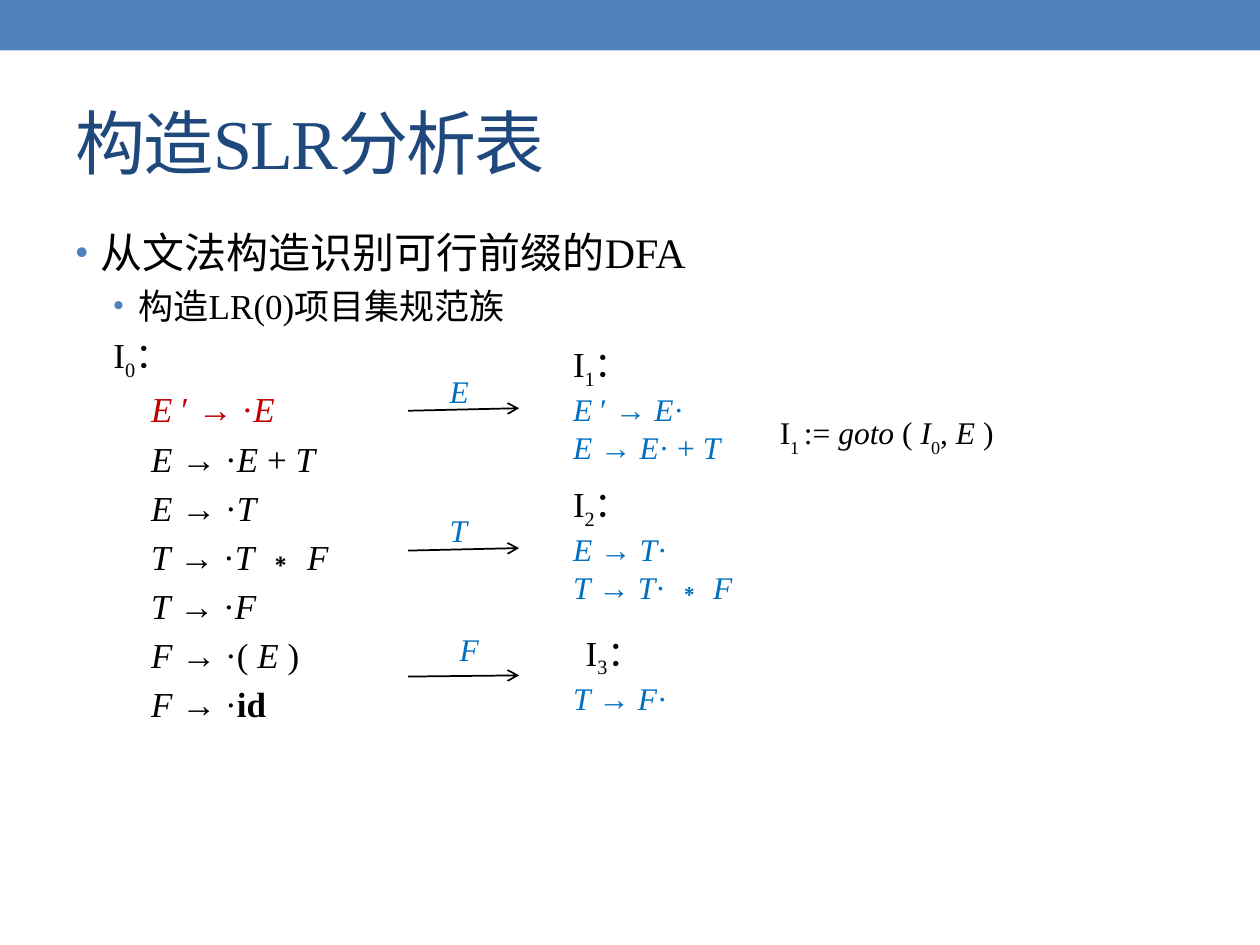
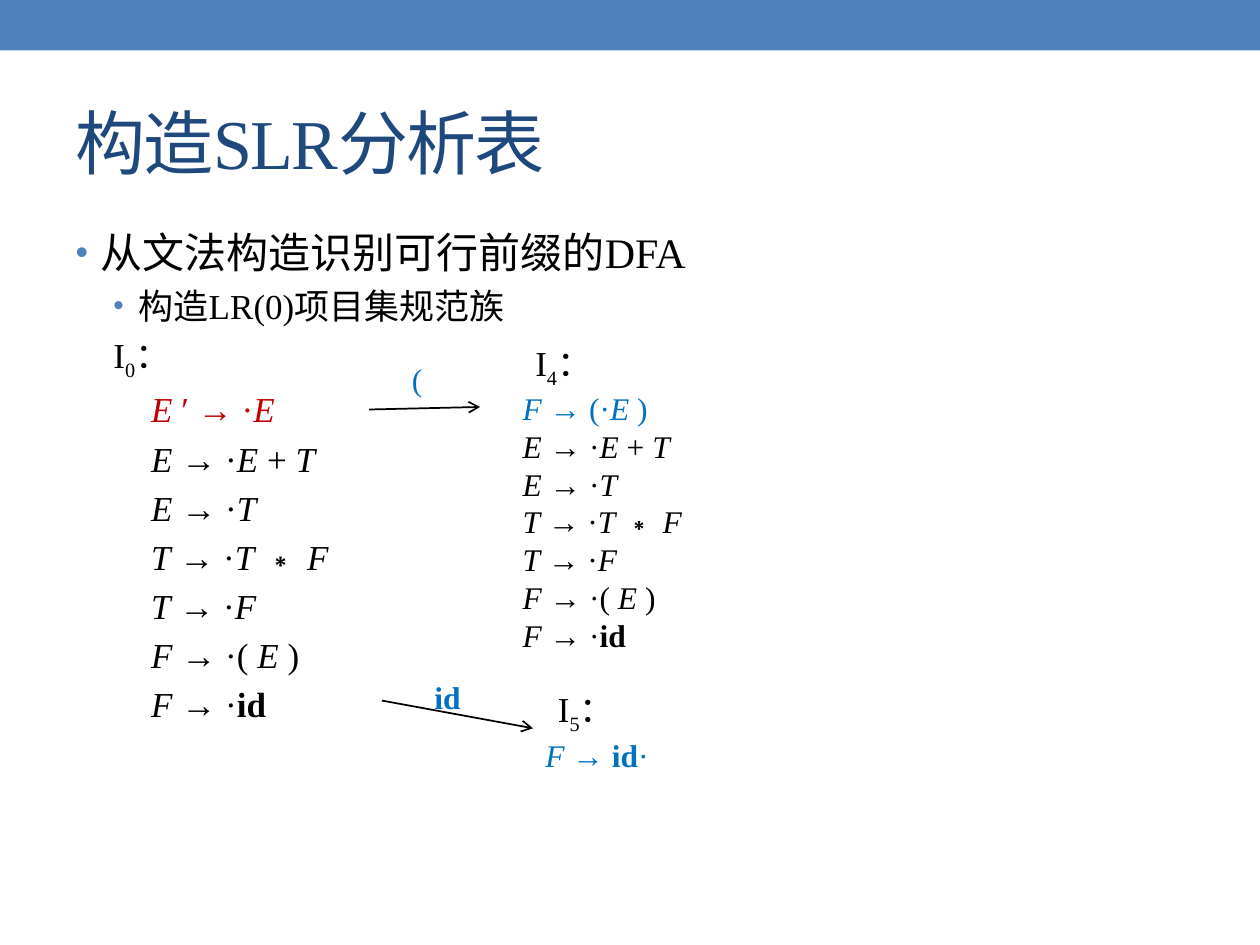
from lxml.etree import SubElement
from pptx import Presentation
from pptx.dml.color import RGBColor
from pptx.enum.shapes import MSO_CONNECTOR as Link, MSO_SHAPE as Shape
from pptx.enum.text import MSO_ANCHOR as Anchor, MSO_AUTO_SIZE as Fit, PP_ALIGN as Align
from pptx.oxml.ns import qn
from pptx.util import Emu, Pt

SCALE = 9144  # EMU in one px, 100 px to the inch
FONT = "Times New Roman"
BLACK, BAND, NAVY, RED, BLUE = "000000", "4F81BD", "1F497D", "C00000", "0070C0"
MARKS = {"_": "italic", "#": "bold", "~": "sub"}

# Grammar items after the start item; _italic_, #bold#, ~subscript~
ITEMS = ["_E_ → ·_E_ + _T_", "_E_ → ·_T_", "_T_ → ·_T_ ∗ _F_",
         "_T_ → ·_F_", "_F_ → ·( _E_ )", "_F_ → ·#id#"]


def px(*nums):
    return [Emu(round(n * SCALE)) for n in nums]


def color(code):
    return RGBColor.from_string(code)


def add(parent, tag, **attrs):
    return SubElement(parent, qn(tag), attrs)


def write(para, text, size=18, ink=BLACK, sub=25, space=0, indent=None, hang=0):
    """Fill a paragraph with marked-up text."""
    props = para._p.get_or_add_pPr()
    if indent is not None:
        left, first = px(indent, -hang)
        props.set("marL", str(left))
        props.set("indent", str(first))
    state = dict.fromkeys(MARKS.values(), False)
    chunk = ""
    for char in text + "\0":
        if char not in MARKS and char != "\0":
            chunk += char
            continue
        if chunk:
            run = para.add_run()
            run.text = chunk
            font = run.font
            font.name, font.size = FONT, Pt(size)
            font.bold, font.italic = state["bold"], state["italic"]
            font.color.rgb = color(ink)
            look = run._r.get_or_add_rPr()
            if state["sub"]:
                look.set("baseline", str(-1000 * sub))
            if space:
                look.set("spc", str(space))
            chunk = ""
        if char in MARKS:
            state[MARKS[char]] = not state[MARKS[char]]


def bullet(para, on):
    props = para._p.get_or_add_pPr()
    if not on:
        add(props, "a:buNone")
        return
    add(add(props, "a:buClr"), "a:srgbClr", val=BAND)
    add(props, "a:buSzPct", val="85000")
    add(props, "a:buFont", typeface="Arial")
    add(props, "a:buChar", char="•")


def lines(frame):
    """Yield the first paragraph, then new ones."""
    yield frame.paragraphs[0]
    while True:
        yield frame.add_paragraph()


def place(shape, box):
    shape.left, shape.top, shape.width, shape.height = px(*box)


def label(shapes, box, rows):
    """Text box from (text, format) rows."""
    frame = shapes.add_textbox(*px(*box)).text_frame
    frame.word_wrap = True
    frame.auto_size = Fit.SHAPE_TO_FIT_TEXT
    for (text, form), para in zip(rows, lines(frame)):
        write(para, text, **form)


def arrow(shapes, x1, y1, x2, y2):
    link = shapes.add_connector(Link.STRAIGHT, *px(x1, y1, x2, y2))
    link.line.color.rgb = color(BLACK)
    link.line.width = Pt(1)
    props = link._element.spPr
    add(props.find(qn("a:ln")), "a:tailEnd", type="arrow")
    add(props, "a:effectLst")


def band(slide):
    """Put the top band on the layout that the slides share."""
    bar = slide.shapes.add_shape(Shape.RECTANGLE, *px(0, 0, 1000, 40))
    bar.shadow.inherit = False
    bar.fill.solid()
    bar.fill.fore_color.rgb = color(BAND)
    bar.line.fill.background()
    slide.slide_layout.shapes._spTree.insert(2, bar._element)


def title(shape, box):
    place(shape, box)
    frame = shape.text_frame
    frame.vertical_anchor = Anchor.MIDDLE
    para = frame.paragraphs[0]
    para.alignment = Align.LEFT
    write(para, "构造SLR分析表", size=40, ink=NAVY, space=-100)


def body(shape, box):
    """Outline with the item set I0."""
    place(shape, box)
    frame = shape.text_frame
    frame.auto_size = Fit.NONE
    rows = [("从文法构造识别可行前缀的DFA", 0, dict(size=24, indent=20, hang=20)),
            ("构造LR(0)项目集规范族", 1, dict(size=20, indent=50, hang=20)),
            ("I~0~：", 1, dict(size=20, indent=30)),
            ("_E_ ′ → ·_E_", 2, dict(size=20, indent=60, ink=RED))]
    rows += [(item, 2, dict(size=20, indent=60)) for item in ITEMS]
    for (text, level, form), para in zip(rows, lines(frame)):
        para.level = level
        bullet(para, "hang" in form)
        write(para, text, **form)
    frame.paragraphs[0].space_before = Pt(0)


def state(slide, x, y, name, sign, new, old=(), left=121, head=0,
          line=(0, 59, 88, 57), tag=(23, 23)):
    """Arrow with its sign, leading to an item set; (x, y) is the corner."""
    shapes = slide.shapes.add_group_shape().shapes
    x1, y1, x2, y2 = line
    arrow(shapes, x + x1, y + y1, x + x2, y + y2)
    label(shapes, (x + tag[0], y + tag[1], 46, 40), [(sign, dict(ink=BLUE))])
    rows = [(f"I~{name}~：", dict(size=20, indent=head))]
    rows += [(item, dict(ink=BLUE)) for item in new]
    rows += [(item, {}) for item in old]
    label(shapes, (x + left, y, 284, 13 + 30 * len(rows)), rows)


def page(deck):
    slide = deck.slides.add_slide(deck.slide_layouts[1])
    title(slide.shapes.title, (50, 58, 900, 108))
    body(slide.placeholders[1], (50, 175, 900, 533))
    return slide


def main():
    deck = Presentation()
    deck.slide_width, deck.slide_height = px(1000, 750)

    # Moves on E, T and F
    slide = page(deck)
    band(slide)
    state(slide, 324, 267, 1, "_E_", ["_E_ ′ → _E_·", "_E_ → _E_· + _T_"])
    label(slide.shapes, (609, 323, 292, 40),
          [("I~1 ~:= _goto_ ( _I_~0~, _E_ )", dict(sub=30))])
    state(slide, 324, 378, 2, "_T_", ["_E_ → _T_·", "_T_ → _T_· ∗ _F_"])
    state(slide, 324, 496, 3, "_F_", ["_T_ → _F_·"], head=10,
          line=(0, 41, 88, 40), tag=(31, -1))

    # Moves on ( and id
    slide = page(deck)
    state(slide, 293, 266, 4, "(", ["_F_ → (·_E_ )"], ITEMS, left=112, head=10,
          tag=(24, 15))
    state(slide, 303, 541, 5, "#id#", ["_F_ → #id#·"], left=120, head=10,
          line=(0, 15, 120, 37), tag=(32, -8))

    deck.save("out.pptx")


if __name__ == "__main__":
    main()
